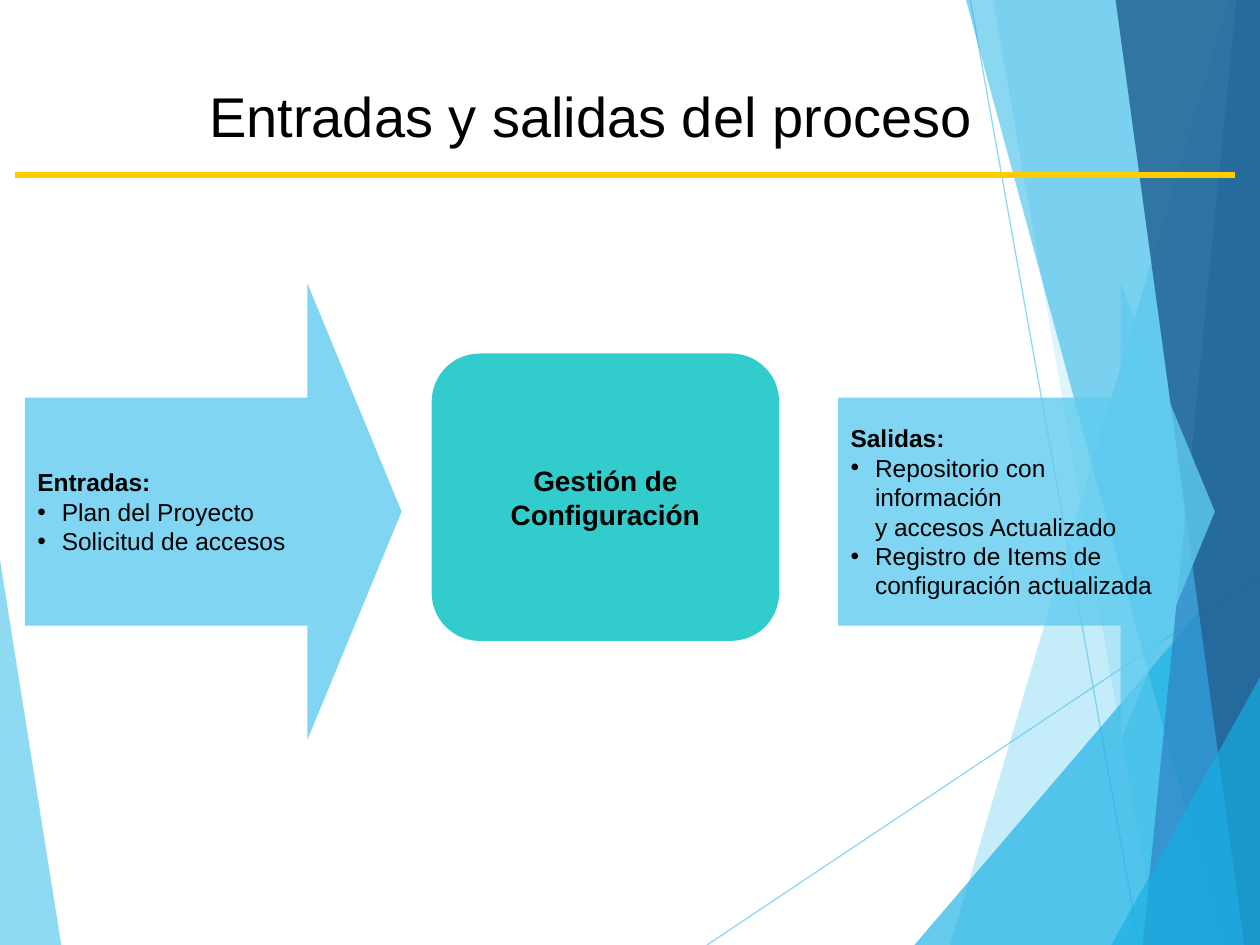
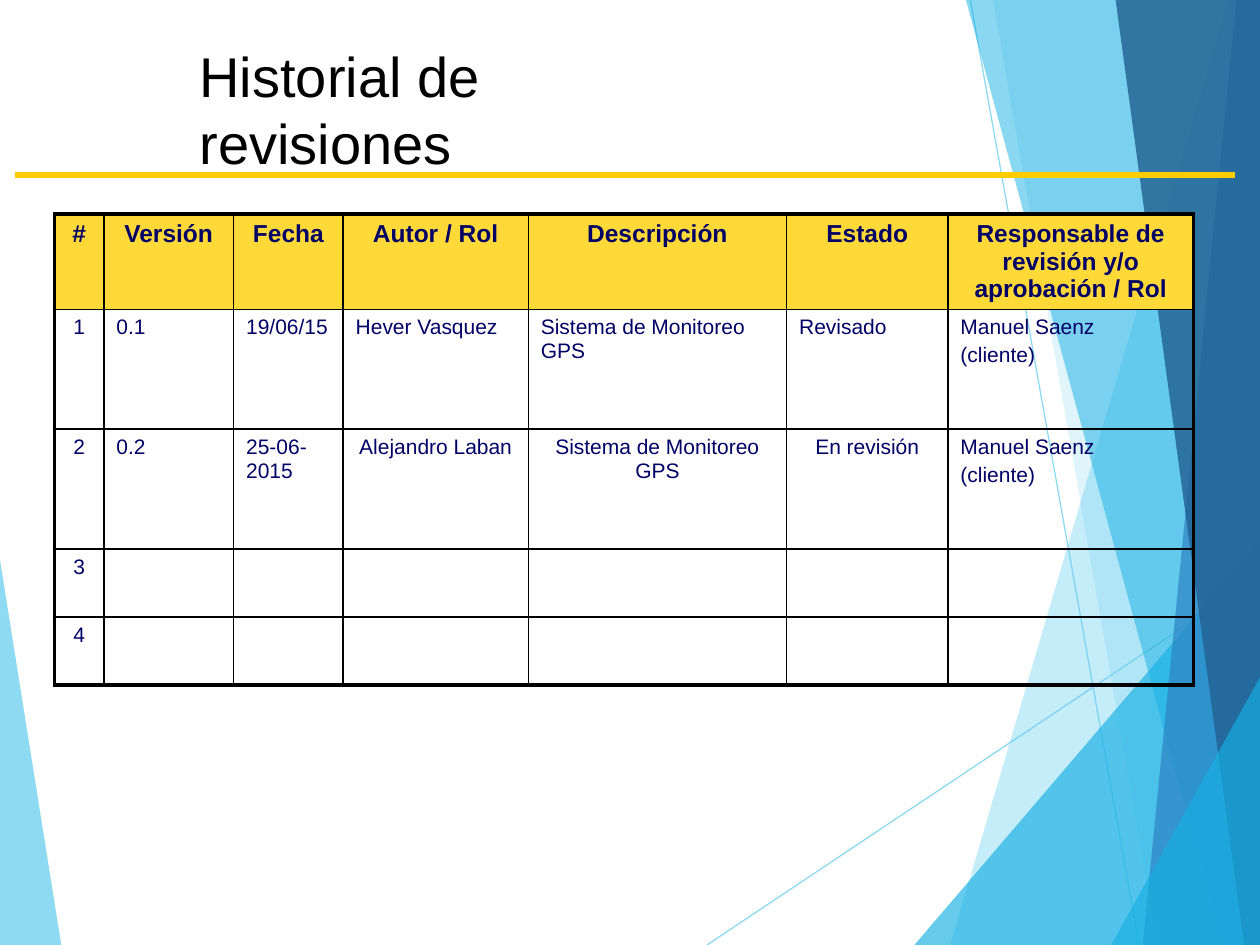
from lxml import etree
from pptx import Presentation, util as u
from pptx.dml.color import RGBColor
from pptx.enum import shapes as kinds, text as t
from pptx.oxml.ns import qn

FONT, BLACK, NAVY = "Arial", "000000", "000066"
SKY, AZURE, STEEL, DEEP = "5FCBEF", "17B0E4", "2E83C3", "226292"
GOLD, AMBER, TEAL = "FFCC00", "FFD937", "33CCCC"


def paint(fill, hue, owner=None, alpha=100):
    """Make a fill solid; below 100, set the alpha of the owner's colour."""
    fill.solid()
    fill.fore_color.rgb = RGBColor.from_string(hue)
    if alpha < 100:
        tone = next(owner.element.iter(qn("a:srgbClr")))
        etree.SubElement(tone, qn("a:alpha"), val=str(alpha * 1000))


def write(par, words, size, hue=BLACK, bold=False):
    """Add words to a paragraph, one run for each line."""
    for i, line in enumerate(words.split("\n")):
        if i:
            par.add_line_break()
        run = par.add_run()
        run.text = line
        run.font.name, run.font.size, run.font.bold = FONT, u.Pt(size), bold
        paint(run.font.fill, hue)


deck = Presentation()
deck.slide_width, deck.slide_height = u.Pt(720), u.Pt(540)
layout = deck.slide_layouts[5]
flow = deck.slides.add_slide(layout)
log = deck.slides.add_slide(layout)

# Backdrop: two points make a thin line, more make a shard
backdrop = [
    (SKY, 70, [(0, 320), (35, 540), (0, 540)]),
    (SKY, 70, [(404, 540), (720, 329)]),
    (SKY, 70, [(554.5, 0), (651, 540)]),
    (SKY, 36, [(702, 0), (543, 540), (720, 540), (720, 0)]),
    (SKY, 20, [(567.5, 0), (661.5, 540), (720, 540), (720, 0)]),
    (AZURE, 66, [(522.5, 540), (720, 309), (720, 540)]),
    (AZURE, 50, [(552, 0), (698.5, 540), (720, 540), (720, 0)]),
    (STEEL, 70, [(706.5, 0), (653, 540), (720, 540), (720, 0)]),
    (DEEP, 82, [(637.5, 0), (711, 540), (720, 540), (720, 0)]),
    (AZURE, 66, [(635, 540), (720, 387), (720, 540)]),
]
for hue, alpha, spots in backdrop:
    spots = [(u.Pt(x), u.Pt(y)) for x, y in spots]
    if len(spots) == 2:
        piece = flow.shapes.add_connector(
            kinds.MSO_CONNECTOR.STRAIGHT, *spots[0], *spots[1])
        piece.line.width = u.Pt(0.75)
        paint(piece.line.fill, hue, piece, alpha)
        etree.SubElement(piece.element.spPr, qn("a:effectLst"))
    else:
        pen = flow.shapes.build_freeform(*spots[0])
        pen.add_line_segments(spots[1:], close=True)
        piece = pen.convert_to_shape()
        piece.shadow.inherit = False
        paint(piece.fill, hue, piece, alpha)
        piece.line.fill.background()
    layout.shapes.element.append(piece.element)

# Titles
for slide, words, left, top, width in [
    (flow, "Entradas y salidas del proceso", 112.3, 43.2, 489.6),
    (log, "Historial de revisiones", 106.8, 20.2, 326.9),
]:
    title = slide.shapes.title
    title.left, title.top = u.Pt(left), u.Pt(top)
    title.width, title.height = u.Pt(width), u.Pt(45.4)
    frame = title.text_frame
    frame.auto_size = t.MSO_AUTO_SIZE.NONE
    frame.vertical_anchor = t.MSO_ANCHOR.TOP
    frame.margin_right = u.Pt(20)
    par = frame.paragraphs[0]
    par.alignment = t.PP_ALIGN.LEFT
    write(par, words, 32)

# Slide 1: inputs, process, outputs
arrow = kinds.MSO_SHAPE.RIGHT_ARROW
box = kinds.MSO_SHAPE.ROUNDED_RECTANGLE
steps = [
    (arrow, [0.5, 0.25], (14.2, 162, 215.3, 260.7), SKY, 80,
     ["Entradas:", "Plan del Proyecto", "Solicitud de accesos"]),
    (box, [0.167], (246.7, 202, 198.5, 164.2), TEAL, 100,
     ["Gestión de Configuración"]),
    (arrow, [0.5, 0.25], (478.9, 162, 215.3, 260.7), SKY, 80,
     ["Salidas:", "Repositorio con información \ny accesos Actualizado",
      "Registro de Items de \nconfiguración actualizada"]),
]
for kind, bends, place, hue, alpha, lines in steps:
    step = flow.shapes.add_shape(kind, *map(u.Pt, place))
    step.shadow.inherit = False
    for i, bend in enumerate(bends):
        step.adjustments[i] = bend
    paint(step.fill, hue, step, alpha)
    step.line.fill.background()
    frame = step.text_frame
    frame.word_wrap = True
    frame.vertical_anchor = t.MSO_ANCHOR.MIDDLE
    for i, words in enumerate(lines):
        par = frame.add_paragraph() if i else frame.paragraphs[0]
        if kind == box:
            par.alignment = t.PP_ALIGN.CENTER
            write(par, words, 16, bold=True)
            continue
        par.alignment = t.PP_ALIGN.LEFT
        write(par, words, 14, bold=i == 0)
        props = par._p.get_or_add_pPr()
        props.set("marL", str(u.Pt(14)))
        props.set("indent", str(u.Pt(-14)))
        if i:
            tint = etree.SubElement(props, qn("a:buClr"))
            etree.SubElement(tint, qn("a:srgbClr"), val=BLACK)
            etree.SubElement(props, qn("a:buFont"), typeface=FONT)
            etree.SubElement(props, qn("a:buChar"), char="•")

# Slide 2: table of revisions
rows = [
    ["#", "Versión", "Fecha", "Autor / Rol", "Descripción", "Estado",
     "Responsable de revisión y/o aprobación / Rol"],
    ["1", "0.1", "19/06/15", "Hever Vasquez", "Sistema de Monitoreo GPS",
     "Revisado", "Manuel Saenz|(cliente)"],
    ["2", "0.2", "25-06-2015", "Alejandro Laban", "Sistema de Monitoreo GPS",
     "En revisión", "Manuel Saenz|(cliente)"],
    ["3"] + [""] * 6,
    ["4"] + [""] * 6,
]
wide = [28.1, 74.2, 62.6, 105.8, 147.6, 92.2, 140.4]
high = [43.2, 68.4, 68.4, 38.9, 38.9]
grid = log.shapes.add_table(len(rows), len(wide), u.Pt(31.2), u.Pt(122.4),
                            u.Pt(sum(wide)), u.Pt(sum(high))).table
grid.first_row = grid.horz_banding = False
for col, width in zip(grid.columns, wide):
    col.width = u.Pt(width)
for row, height in zip(grid.rows, high):
    row.height = u.Pt(height)
for r, row in enumerate(rows):
    for c, words in enumerate(row):
        cell = grid.cell(r, c)
        props = cell._tc.get_or_add_tcPr()
        outer = {"L": c == 0, "R": c == len(wide) - 1,
                 "T": r == 0, "B": r == len(rows) - 1}
        for side, edge in outer.items():
            rule = etree.SubElement(props, qn("a:ln" + side),
                                    w=str(u.Pt(2.25 if edge else 1)))
            ink = etree.SubElement(rule, qn("a:solidFill"))
            etree.SubElement(ink, qn("a:srgbClr"), val=BLACK)
        if r == 0:
            paint(cell.fill, AMBER)
        else:
            cell.fill.background()
        if not words:
            continue
        mid = r == 0 or c == 0 or (r == 2 and c in (3, 4, 5))
        for i, line in enumerate(words.split("|")):
            frame = cell.text_frame
            par = frame.add_paragraph() if i else frame.paragraphs[0]
            par.alignment = t.PP_ALIGN.CENTER if mid else t.PP_ALIGN.LEFT
            if i:
                par.space_before = u.Pt(2.4)
            write(par, line, 12 if r else 14, NAVY, r == 0)

# Gold rule under both titles
for slide in deck.slides:
    rule = slide.shapes.add_connector(
        kinds.MSO_CONNECTOR.STRAIGHT, u.Pt(8.6), u.Pt(100), u.Pt(705.6), u.Pt(100))
    rule.line.width = u.Pt(3)
    paint(rule.line.fill, GOLD)
    etree.SubElement(rule.element.spPr, qn("a:effectLst"))

deck.save("out.pptx")
